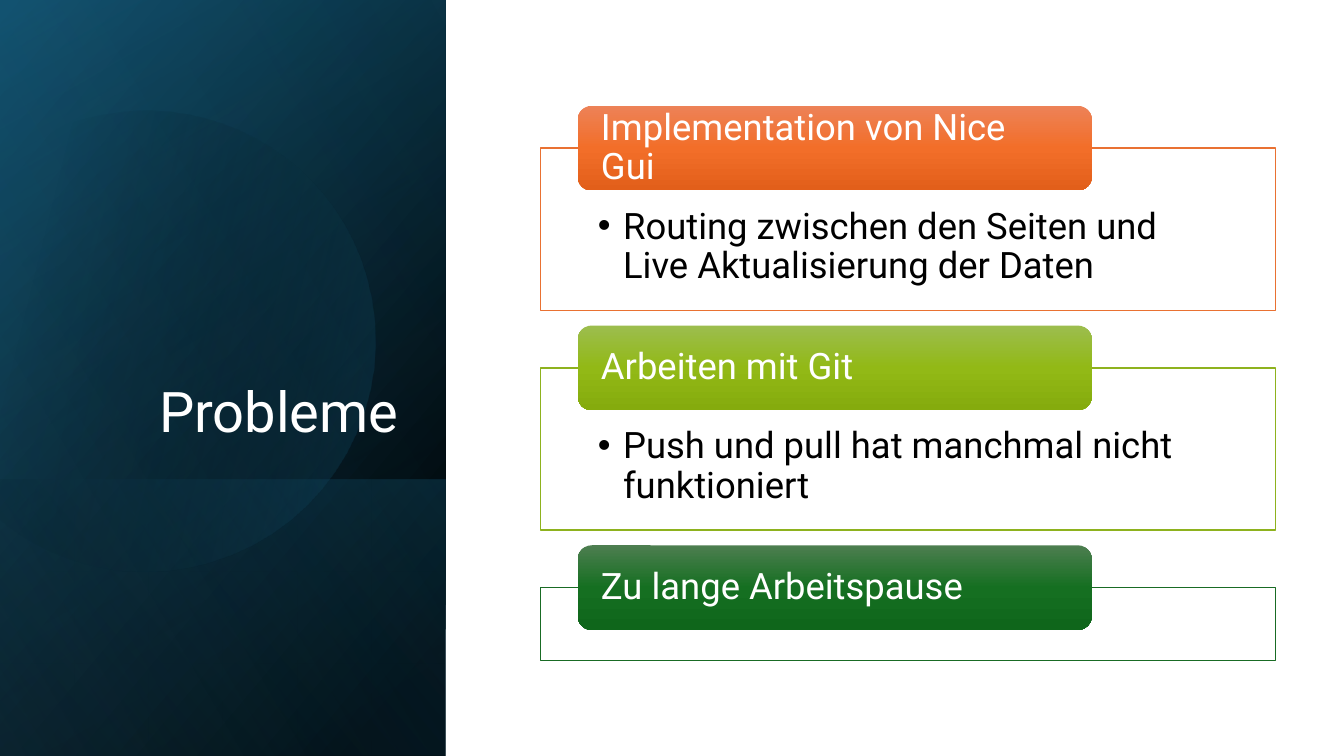
import math

from lxml import etree
from pptx import Presentation
from pptx.dml.color import RGBColor
from pptx.enum.shapes import MSO_SHAPE
from pptx.enum.text import MSO_ANCHOR, MSO_AUTO_SIZE, PP_ALIGN
from pptx.oxml.ns import qn
from pptx.util import Inches, Pt

RECT, ROUND = MSO_SHAPE.RECTANGLE, MSO_SHAPE.ROUNDED_RECTANGLE
TOP, MIDDLE, BOTTOM = MSO_ANCHOR.TOP, MSO_ANCHOR.MIDDLE, MSO_ANCHOR.BOTTOM
LEFT, RIGHT = PP_ALIGN.LEFT, PP_ALIGN.RIGHT
FONT = "Roboto"

TITLE = "Probleme"
# heading, bullet, box height, line colour, tab gradient
CARDS = [
    ("Implementation von Nice Gui",
     "Routing zwischen den Seiten und Live Aktualisierung der Daten",
     1.61, "E97132", ("ED8257", "F26E29", "E25F1A")),
    ("Arbeiten mit Git",
     "Push und pull hat manchmal nicht funktioniert",
     1.61, "8EB21E", ("9CBD4E", "92B916", "85AB0D")),
    ("Zu lange Arbeitspause", "",
     0.72, "196B24", ("4D7E50", "156F21", "0F661B")),
]
# Gradient stops: position, colour, opacity (all in percent)
FULL = (-1.54, 1.54, 7.5, 4.42)
LOW = (0.84, 3.92, 2.74, 4.42)
BASE = [
    (FULL, [(8, "000000", 100), (100, "104862", 100)], 50),
    (FULL, [(0, "000000", 0), (99, "156082", 46)], 30),
    (LOW, [(2, "156082", 29), (100, "000000", 30)], 130),
]
SHEEN = (FULL, [(0, "000000", 0), (99, "46B1E1", 11)], 120)
DISC_FILL = [(29, "000000", 0), (100, "156082", 43)]
DISC_MID, DISC_TURN = (1.59, 3.35), 343.9
# Each step holds one point (line) or three points (curve)
DISC = [
    [(1.49, 1.1)],
    [(2.46, 1.12), (3.35, 1.77), (3.63, 2.75)],
    [(3.98, 3.97), (3.28, 5.23), (2.07, 5.58)],
    [(1.31, 5.8), (0.53, 5.61), (-0.03, 5.14)],
    [(-0.15, 5.03)],
    [(-0.15, 1.75)],
    [(0, 1.61)],
    [(0.23, 1.42), (0.5, 1.28), (0.8, 1.19)],
    [(1.03, 1.13), (1.26, 1.1), (1.49, 1.1)],
]
TAB_H, GAP, FIRST = 0.84, 0.15, 1.05


def rgb(code):
    return RGBColor.from_string(code)


def shade(shape, stops, angle):
    """Fill with a linear gradient, angle clockwise, and drop the outline."""
    shape.shadow.inherit = False
    shape.line.fill.background()
    shape.fill.gradient()
    shape.fill.gradient_angle = 360 - angle
    group = shape._element.spPr.find(".//" + qn("a:gsLst"))
    for old in list(group):
        group.remove(old)
    for pos, code, alpha in stops:
        stop = etree.SubElement(group, qn("a:gs"), pos=str(pos * 1000))
        tint = etree.SubElement(stop, qn("a:srgbClr"), val=code)
        if alpha < 100:
            etree.SubElement(tint, qn("a:alpha"), val=str(alpha * 1000))


def add_box(kind, box):
    return slide.shapes.add_shape(kind, *map(Inches, box))


def add_panel(box, stops, angle):
    panel = add_box(RECT, box)
    panel.rotation = 90
    panel._element.spPr.xfrm.set("flipH", "1")
    shade(panel, stops, angle)


def flatten(steps, parts=16):
    """Turn the lines and Bezier curves into a list of points."""
    points = []
    for step in steps:
        if len(step) == 1:
            points += step
            continue
        knots = [points[-1], *step]
        for i in range(1, parts + 1):
            t = i / parts
            mix = [math.comb(3, k) * t**k * (1 - t)**(3 - k) for k in range(4)]
            points.append(tuple(sum(m * p[axis] for m, p in zip(mix, knots))
                                for axis in (0, 1)))
    return points


def add_disc():
    """Draw the disc upright, then turn it so that its gradient turns too."""
    turn = math.radians(-DISC_TURN)
    cos, sin = math.cos(turn), math.sin(turn)
    mid_x, mid_y = DISC_MID
    points = []
    for x, y in flatten(DISC):
        dx, dy = x - mid_x, y - mid_y
        points.append((Inches(mid_x + cos * dx - sin * dy),
                       Inches(mid_y + sin * dx + cos * dy)))
    path = slide.shapes.build_freeform(*points[0])
    path.add_line_segments(points[1:], close=True)
    disc = path.convert_to_shape()
    disc.rotation = DISC_TURN
    shade(disc, DISC_FILL, 30)


def write(shape, text, size, code, anchor, align=LEFT, inset=None):
    frame = shape.text_frame
    frame.word_wrap = True
    frame.auto_size = MSO_AUTO_SIZE.NONE
    frame.vertical_anchor = anchor
    if inset:
        (frame.margin_left, frame.margin_top,
         frame.margin_right, frame.margin_bottom) = map(Inches, inset)
    para = frame.paragraphs[0]
    para.alignment = align
    para.line_spacing = 0.9
    run = para.add_run()
    run.text = text
    run.font.size = Pt(size)
    run.font.name = FONT
    run.font.color.rgb = rgb(code)
    return para


def add_bullet(para):
    props = para._p.get_or_add_pPr()
    props.set("marL", str(Inches(0.25)))
    props.set("indent", str(-Inches(0.25)))
    etree.SubElement(props, qn("a:buFont"), typeface="Arial")
    etree.SubElement(props, qn("a:buChar"), char="•")


def add_card(top, head, note, height, edge, tones):
    box = add_box(RECT, (5.36, top + TAB_H / 2, 7.29, height))
    box.shadow.inherit = False
    box.fill.solid()
    box.fill.fore_color.rgb = rgb("FFFFFF")
    box.line.color.rgb = rgb(edge)
    box.line.width = Pt(1)
    if note:
        add_bullet(write(box, note, 26, "000000", TOP,
                         inset=(0.57, 0.59, 0.57, 0.2)))
    tab = add_box(ROUND, (5.73, top, 5.1, TAB_H))
    shade(tab, [(50 * i, tone, 100) for i, tone in enumerate(tones)], 90)
    write(tab, head, 26, "FFFFFF", MIDDLE, inset=(0.19, 0, 0.19, 0))


deck = Presentation()
deck.slide_width, deck.slide_height = Inches(13.33), Inches(7.5)
slide = deck.slides.add_slide(deck.slide_layouts[5])

for panel in BASE:
    add_panel(*panel)
add_disc()
add_panel(*SHEEN)

title = slide.shapes.title
title.left, title.top, title.width, title.height = map(
    Inches, (0.64, 1.84, 3.41, 2.62))
write(title, TITLE, 40, "FFFFFF", BOTTOM, RIGHT)
slide.shapes._spTree.append(title._element)  # bring in front of the panels

top = FIRST
for card in CARDS:
    add_card(top, *card)
    top += TAB_H / 2 + card[2] + GAP

deck.save("out.pptx")
